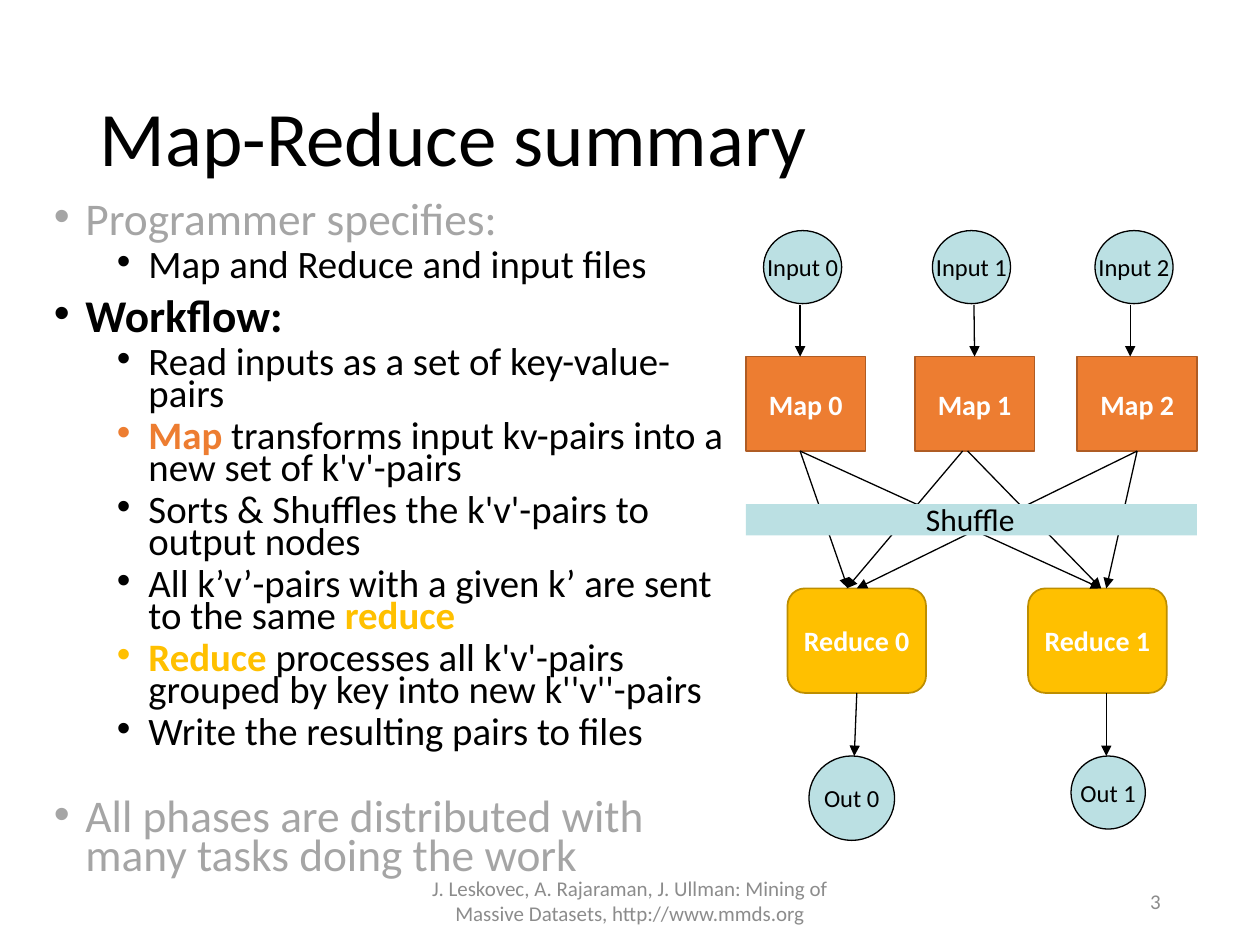
from lxml.etree import SubElement
from pptx import Presentation
from pptx.dml.color import RGBColor
from pptx.enum.shapes import MSO_CONNECTOR, MSO_SHAPE
from pptx.enum.text import MSO_ANCHOR, PP_ALIGN
from pptx.oxml.ns import qn
from pptx.util import Inches, Pt

FONT = "Calibri"
BLACK, WHITE, GREY, PALE = "000000", "FFFFFF", "A5A5A5", "8C8C8C"
BLUE, ORANGE, GOLD = "BBE0E3", "ED7D31", "FFC000"
HEAD = dict(size=Pt(25.9))
ITEM = dict(size=Pt(22.2))

BODY = [
    (0, 0, [("Programmer specifies:", GREY, False)]),
    (1, 5, [("Map and Reduce and input files", BLACK, False)]),
    (0, 10, [("Workflow:", BLACK, True)]),
    (1, 5, [("Read inputs as a set of key-value-pairs", BLACK, False)]),
    (1, 5, [("Map ", ORANGE, True),
            ("transforms input kv-pairs into a new set of k'v'-pairs", BLACK, False)]),
    (1, 5, [("Sorts & Shuffles the k'v'-pairs to output nodes", BLACK, False)]),
    (1, 5, [("All k’v’-pairs with a given k’ are sent to the same ", BLACK, False),
            ("reduce", GOLD, True)]),
    (1, 5, [("Reduce ", GOLD, True),
            ("processes all k'v'-pairs grouped by key into new k''v''-pairs", BLACK, False)]),
    (1, 5, [("Write the resulting pairs to files", BLACK, False)]),
    (0, 29, [("All phases are distributed with many tasks doing the work", GREY, False)]),
]


def paint(target, color):
    target.solid()
    target.fore_color.rgb = RGBColor.from_string(color)


def write(para, text, color, **style):
    run = para.add_run()
    run.text = text
    for name, value in dict(name=FONT, **style).items():
        setattr(run.font, name, value)
    paint(run.font.fill, color)


def text_box(slide, place, anchor=MSO_ANCHOR.MIDDLE, wrap=True):
    box = slide.shapes.add_textbox(*map(Inches, place))
    frame = box.text_frame
    frame.word_wrap = wrap
    frame.vertical_anchor = anchor
    return frame


def label(slide, place, text, size, color, align=PP_ALIGN.LEFT, **opts):
    para = text_box(slide, place, **opts).paragraphs[0]
    para.alignment = align
    write(para, text, color, size=Pt(size))
    return para


def outline(slide, place):
    frame = text_box(slide, place, MSO_ANCHOR.TOP)
    for i, (level, gap, runs) in enumerate(BODY):
        para = frame.add_paragraph() if i else frame.paragraphs[0]
        para.level = level
        para.line_spacing = 0.7
        para.space_before = Pt(gap)
        props = para._p.get_or_add_pPr()
        props.set("marL", str(Inches(0.25 + 0.5 * level)))
        props.set("indent", str(Inches(-0.25)))
        SubElement(props, qn("a:buFont"), typeface="Arial")
        SubElement(props, qn("a:buChar"), char="•")
        style = ITEM if level else HEAD
        for text, color, bold in runs:
            write(para, text, color, bold=bold, **style)


def node(slide, kind, place, text, fill, edge, width, color, **style):
    shape = slide.shapes.add_shape(kind, *map(Inches, place))
    shape.shadow.inherit = False
    paint(shape.fill, fill)
    if edge:
        paint(shape.line.fill, edge)
        shape.line.width = Pt(width)
    else:
        shape.line.fill.background()
    if text:
        frame = shape.text_frame
        frame.word_wrap = False
        frame.vertical_anchor = MSO_ANCHOR.MIDDLE
        para = frame.paragraphs[0]
        para.alignment = PP_ALIGN.CENTER
        write(para, text, color, **style)
    return shape


def disc(slide, place, text):
    return node(slide, MSO_SHAPE.OVAL, place, text, BLUE, BLACK, 0.75,
                BLACK, size=Pt(14))


def task(slide, kind, place, text, fill, edge):
    return node(slide, kind, place, text, fill, edge, 1, WHITE,
                size=Pt(16), bold=True)


def arrow(slide, start, end, source=None, target=None):
    line = slide.shapes.add_connector(
        MSO_CONNECTOR.STRAIGHT, *map(Inches, start + end))
    if source:
        line.begin_connect(source, 2)
    if target:
        line.end_connect(target, 0)
    paint(line.line.fill, BLACK)
    line.line.width = Pt(0.75)
    SubElement(line.line._get_or_add_ln(), qn("a:tailEnd"), type="triangle")
    SubElement(line._element.spPr, qn("a:effectLst"))


def diagram(slide):
    maps = []
    for i, (left, mid) in enumerate([(5.92, 6.35), (7.26, 7.73), (8.55, 8.97)]):
        disc(slide, (left + 0.14, 1.83, 0.62, 0.58), f"Input {i}")
        box = task(slide, MSO_SHAPE.RECTANGLE, (left, 2.83, 0.95, 0.75),
                   f"Map {i}", ORANGE, "AF5C24")
        maps.append(box)
        arrow(slide, (mid, 2.42), (mid, 2.83), target=box if i == 1 else None)

    sinks = [task(slide, MSO_SHAPE.ROUNDED_RECTANGLE, (left, 4.67, 1.1, 0.83),
                  f"Reduce {i}", GOLD, "BD8E00")
             for i, left in enumerate([6.25, 8.16])]

    flows = [
        (6.35, 6.73, None, None), (6.35, 8.74, None, None),
        (7.64, 6.72, None, None), (7.68, 8.74, None, None),
        (9.03, 6.82, maps[2], sinks[0]), (9.03, 8.78, maps[2], None),
    ]
    for start, end, source, target in flows:
        arrow(slide, (start, 3.58), (end, 4.67), source, target)

    disc(slide, (6.42, 6, 0.68, 0.67), "Out 0")
    disc(slide, (8.5, 6, 0.59, 0.58), "Out 1")
    arrow(slide, (6.78, 5.5), (6.78, 6), source=sinks[0])
    arrow(slide, (8.78, 5.5), (8.78, 6))

    node(slide, MSO_SHAPE.RECTANGLE, (5.92, 4, 3.58, 0.25), "", BLUE, None, 0, BLACK)
    label(slide, (7.25, 3.92, 0.98, 0.4), "Shuffle", 18, BLACK,
          anchor=MSO_ANCHOR.TOP, wrap=False)


def main():
    deck = Presentation()
    deck.slide_width, deck.slide_height = Inches(10), Inches(7.5)
    slide = deck.slides.add_slide(deck.slide_layouts[6])
    title = label(slide, (0.69, 0.4, 8.62, 1.45), "Map-Reduce summary", 44, BLACK)
    title.line_spacing = 0.9
    outline(slide, (0.33, 1.58, 5.58, 5.75))
    diagram(slide)
    label(slide, (7.06, 6.95, 2.25, 0.4), "3", 12, PALE, PP_ALIGN.RIGHT)
    label(slide, (3.31, 6.95, 3.38, 0.4),
          "J. Leskovec, A. Rajaraman, J. Ullman: Mining of Massive Datasets, "
          "http://www.mmds.org", 12, PALE, PP_ALIGN.CENTER)
    deck.save("out.pptx")


if __name__ == "__main__":
    main()
